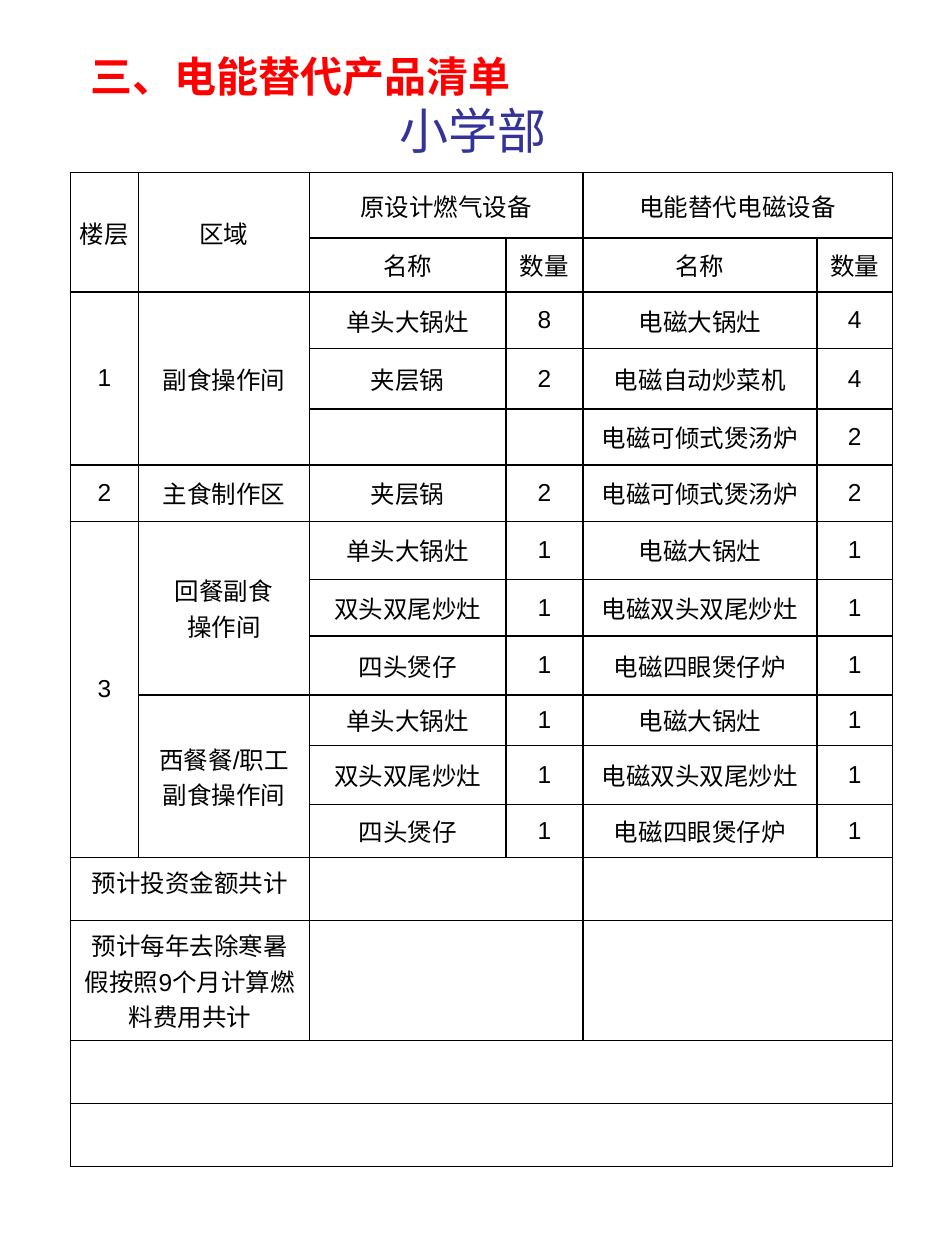
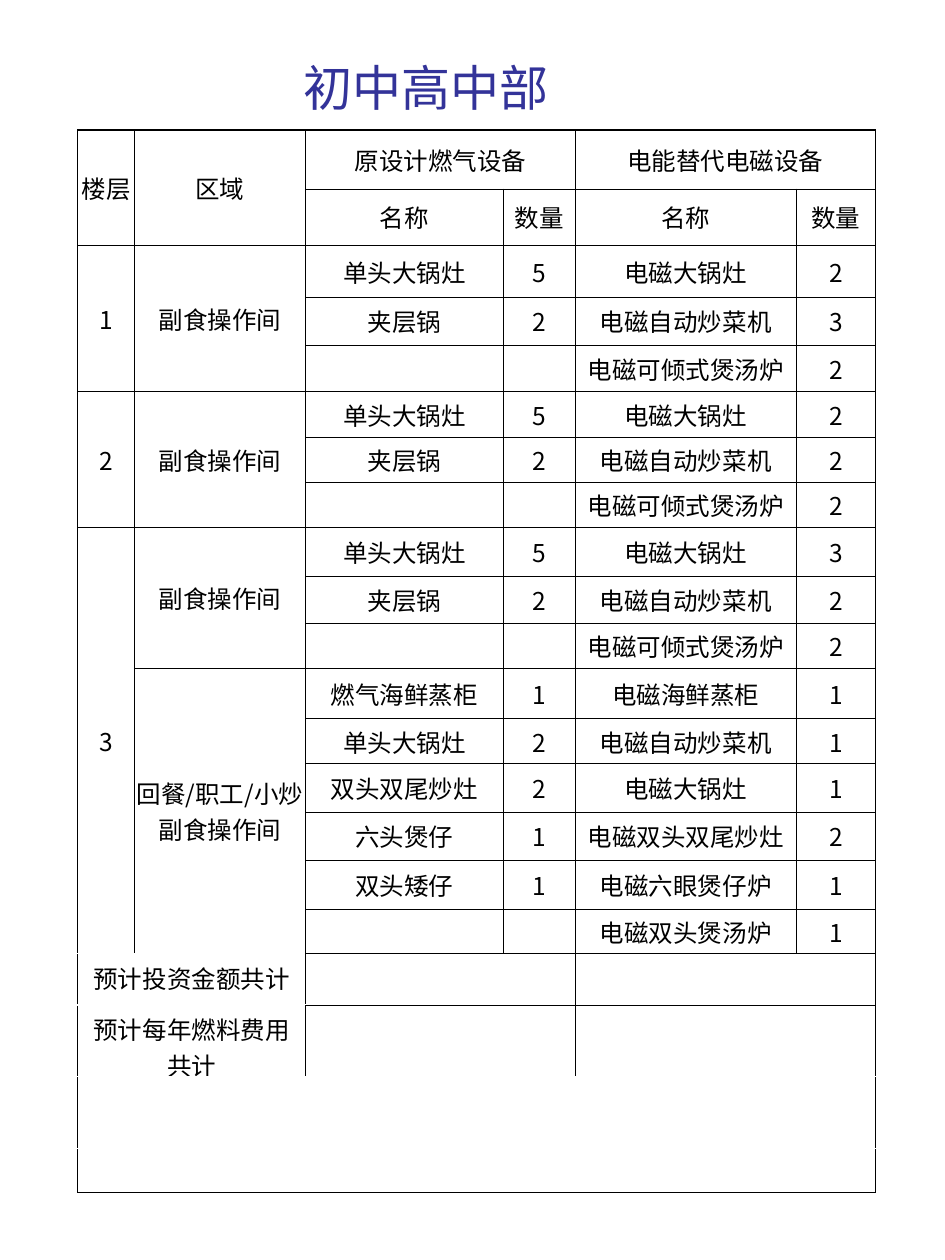
from dataclasses import dataclass

from lxml.etree import SubElement
from pptx import Presentation
from pptx.dml.color import RGBColor
from pptx.enum.text import MSO_ANCHOR as Anchor, PP_ALIGN as Align
from pptx.oxml.ns import qn
from pptx.util import Cm, Pt

COLOURS = {"heading": "FF0000", "school": "333399", "ink": "000000", "hidden": "FFFFFF"}
LATIN, CJK = "Arial", "Noto Sans CJK SC"
EDGES = ("lnL", "lnR", "lnT", "lnB")
COLUMN_COUNT = 6


@dataclass
class Area:
    name: str
    equipment: list[tuple[str, str, str, str]]  # gas name, count, electric name, count


@dataclass
class Floor:
    number: str
    areas: list[Area]


@dataclass
class Title:
    text: str
    left: float
    top: float
    width: float
    height: float
    size: int
    colour: str
    bold: bool = False
    anchor: Anchor = Anchor.MIDDLE


@dataclass
class Inventory:
    titles: list[Title]
    left: float
    top: float
    widths: list[float]
    heights: list[float]
    floors: list[Floor]
    totals: list[str]
    font: str
    line: float
    header_line: float
    open_footer: bool = False  # white rules above the summary rows


def style_run(run, size: int, colour: str, font: str, bold: bool = False) -> None:
    run.font.size = Pt(size)
    run.font.bold = bold
    run.font.name = font
    run.font.color.rgb = RGBColor.from_string(COLOURS[colour])
    SubElement(run._r.get_or_add_rPr(), qn("a:ea"), typeface=CJK)


def add_title(page, title: Title) -> None:
    box = page.shapes.add_textbox(Cm(title.left), Cm(title.top), Cm(title.width), Cm(title.height))
    frame = box.text_frame
    frame.word_wrap = True
    frame.vertical_anchor = title.anchor
    frame.text = title.text
    style_run(frame.paragraphs[0].runs[0], title.size, title.colour, LATIN, title.bold)


def set_edge(cell, edge: str, width: float, colour: str = "ink") -> None:
    """Draw one cell border, keeping the schema order of the borders."""
    props = cell._tc.get_or_add_tcPr()
    old = props.find(qn(f"a:{edge}"))
    position = EDGES.index(edge)
    if old is not None:
        position = props.index(old)
        props.remove(old)
    line = SubElement(props, qn(f"a:{edge}"), w=str(Pt(width)))
    fill = SubElement(line, qn("a:solidFill"))
    SubElement(fill, qn("a:srgbClr"), val=COLOURS[colour])
    props.insert(position, line)


def fill_cell(table, row: int, column: int, text: str, font: str,
              row_span: int = 1, column_span: int = 1, summary: bool = False) -> None:
    cell = table.cell(row, column)
    if row_span * column_span > 1:
        cell.merge(table.cell(row + row_span - 1, column + column_span - 1))
    if not text:
        return
    cell.text_frame.text = text
    if summary:
        cell.vertical_anchor = Anchor.TOP
        cell.margin_left = cell.margin_right = Cm(0.25)
        cell.margin_top = cell.margin_bottom = Cm(0.13)
    for para in cell.text_frame.paragraphs:
        para.alignment = Align.CENTER
        for run in para.runs:
            style_run(run, 14, "ink", font)


def add_grid(page, plan: Inventory):
    table = page.shapes.add_table(len(plan.heights), COLUMN_COUNT, Cm(plan.left), Cm(plan.top),
                                  Cm(sum(plan.widths)), Cm(sum(plan.heights))).table
    table.first_row = table.horz_banding = False
    for column, width in zip(table.columns, plan.widths):
        column.width = Cm(width)
    for index, (row, height) in enumerate(zip(table.rows, plan.heights)):
        row.height = Cm(height)
        for cell in row.cells:
            cell.fill.background()
            cell.vertical_anchor = Anchor.MIDDLE
            cell.margin_left = cell.margin_right = cell.margin_top = cell.margin_bottom = 0
            for edge in EDGES:
                heavy = index == 0 and edge != "lnB"
                set_edge(cell, edge, plan.header_line if heavy else plan.line)
    return table


def add_inventory(page, plan: Inventory) -> None:
    table = add_grid(page, plan)

    # Two-level header
    for column, text in enumerate(("楼层", "区域")):
        fill_cell(table, 0, column, text, plan.font, row_span=2)
    for column, text in ((2, "原设计燃气设备"), (4, "电能替代电磁设备")):
        fill_cell(table, 0, column, text, plan.font, column_span=2)
        fill_cell(table, 1, column, "名称", plan.font)
        fill_cell(table, 1, column + 1, "数量", plan.font)

    # Floors, areas and equipment
    row = 2
    for floor in plan.floors:
        floor_rows = sum(len(area.equipment) for area in floor.areas)
        fill_cell(table, row, 0, floor.number, plan.font, row_span=floor_rows)
        for area in floor.areas:
            fill_cell(table, row, 1, area.name, plan.font, row_span=len(area.equipment))
            for items in area.equipment:
                for column, text in enumerate(items, start=2):
                    fill_cell(table, row, column, text, plan.font)
                row += 1

    # Totals, then two empty full-width rows
    summary_start = row
    for text in plan.totals:
        for column in (0, 2, 4):
            fill_cell(table, row, column, "" if column else text, LATIN, column_span=2, summary=True)
        row += 1
    notes_start = row
    for row in range(notes_start, len(plan.heights)):
        fill_cell(table, row, 0, "", LATIN, column_span=COLUMN_COUNT)

    if plan.open_footer:
        for row in range(summary_start, len(plan.heights)):
            for column in range(2 if row < notes_start else COLUMN_COUNT):
                set_edge(table.cell(row, column), "lnT", 1, "hidden")
                set_edge(table.cell(row - 1, column), "lnB", 1, "hidden")


# Equipment shared by several areas
def side_dishes(pots: str, wok: str, fryer: str, soup: str = "2") -> Area:
    return Area("副食操作间", [
        ("单头大锅灶", pots, "电磁大锅灶", wok),
        ("夹层锅", "2", "电磁自动炒菜机", fryer),
        ("", "", "电磁可倾式煲汤炉", soup)])


SMALL_KITCHEN = [
    ("单头大锅灶", "1", "电磁大锅灶", "1"),
    ("双头双尾炒灶", "1", "电磁双头双尾炒灶", "1"),
    ("四头煲仔", "1", "电磁四眼煲仔炉", "1")]

PRIMARY = Inventory(
    titles=[
        Title("三、电能替代产品清单", 1.57, 0.81, 10.24, 1.35, 24, "heading", True, Anchor.BOTTOM),
        Title("小学部", 7.8, 1.5, 6.17, 2.24, 28, "school")],
    left=1.42, top=3.48,
    widths=[1.37, 3.45, 3.96, 1.55, 4.72, 1.52],
    heights=[1.32, 1.09, 1.14, 1.22, 1.12, 1.14, 1.17, 1.14, 1.19, 1.02, 1.19, 1.07] + [1.27] * 4,
    floors=[
        Floor("1", [side_dishes("8", "4", "4")]),
        Floor("2", [Area("主食制作区", [("夹层锅", "2", "电磁可倾式煲汤炉", "2")])]),
        Floor("3", [Area("回餐副食\n操作间", SMALL_KITCHEN),
                    Area("西餐餐/职工\n副食操作间", SMALL_KITCHEN)])],
    totals=["预计投资金额共计", "预计每年去除寒暑假按照9个月计算燃料费用共计"],
    font=LATIN, line=1, header_line=1)

SECONDARY = Inventory(
    titles=[Title("初中高中部", 5.87, 0.64, 6.17, 2.24, 28, "school")],
    left=1.57, top=2.62,
    widths=[1.14, 3.45, 3.99, 1.45, 4.45, 1.6],
    heights=[1.19, 1.14, 1.04, 0.97, 0.94, 0.91, 0.91, 0.91, 0.99, 0.94, 0.91,
             1.02, 0.91, 0.97, 0.97, 0.99, 0.89, 1.04, 1.07, 1.45, 0.89],
    floors=[
        Floor("1", [side_dishes("5", "2", "3")]),
        Floor("2", [side_dishes("5", "2", "2")]),
        Floor("3", [side_dishes("5", "3", "2"),
                    Area("回餐/职工/小炒副食操作间", [
                        ("燃气海鲜蒸柜", "1", "电磁海鲜蒸柜", "1"),
                        ("单头大锅灶", "2", "电磁自动炒菜机", "1"),
                        ("双头双尾炒灶", "2", "电磁大锅灶", "1"),
                        ("六头煲仔", "1", "电磁双头双尾炒灶", "2"),
                        ("双头矮仔", "1", "电磁六眼煲仔炉", "1"),
                        ("", "", "电磁双头煲汤炉", "1")])])],
    totals=["预计投资金额共计", "预计每年燃料费用共计"],
    font=CJK, line=0.5, header_line=0.75, open_footer=True)

deck = Presentation()
deck.slide_width, deck.slide_height = Cm(19.05), Cm(25.4)
for plan in (PRIMARY, SECONDARY):
    page = deck.slides.add_slide(deck.slide_layouts[6])
    add_inventory(page, plan)
    for title in plan.titles:
        add_title(page, title)
deck.save("out.pptx")
